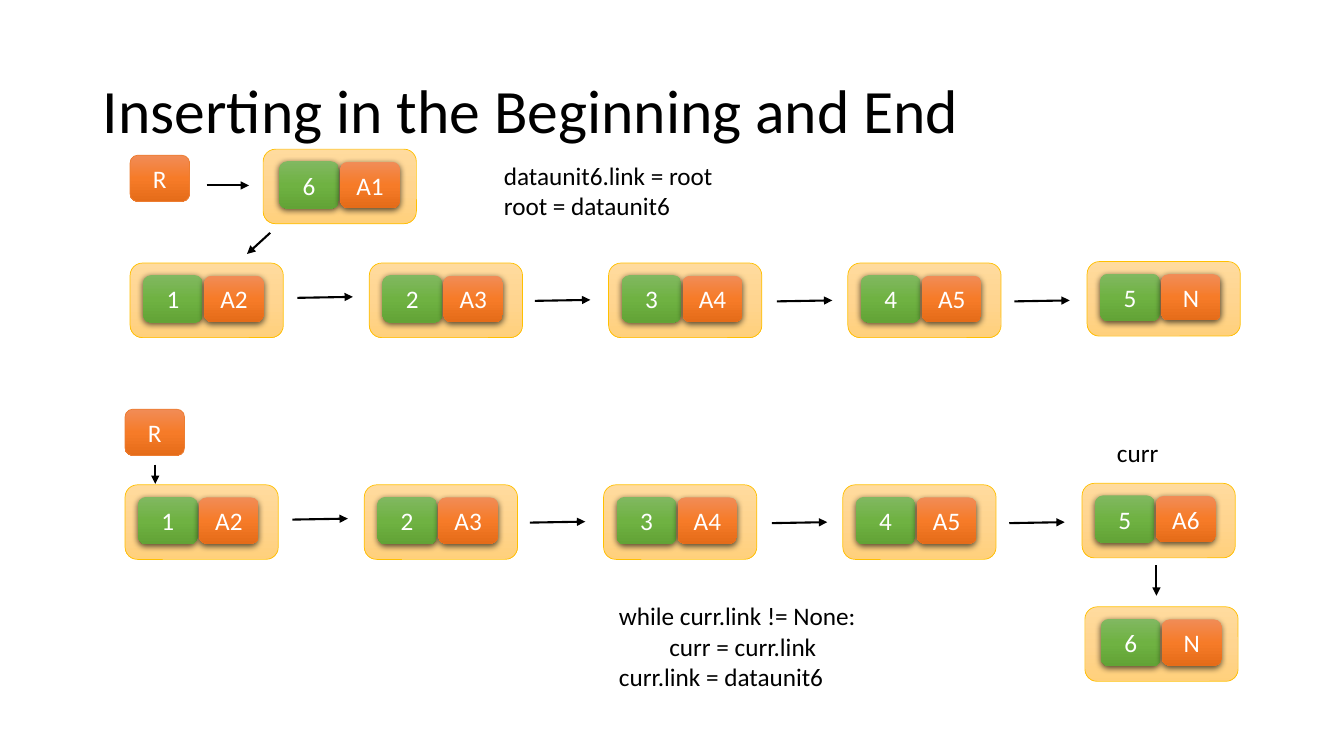
from copy import deepcopy
from dataclasses import dataclass

from lxml import etree
from pptx import Presentation
from pptx.dml.color import RGBColor
from pptx.enum.shapes import MSO_CONNECTOR, MSO_SHAPE
from pptx.enum.text import MSO_ANCHOR, PP_ALIGN
from pptx.oxml.ns import qn
from pptx.util import Inches, Pt

ROUNDED = MSO_SHAPE.ROUNDED_RECTANGLE
STRAIGHT = MSO_CONNECTOR.STRAIGHT
MIDDLE = MSO_ANCHOR.MIDDLE
LEFT, CENTER = PP_ALIGN.LEFT, PP_ALIGN.CENTER


@dataclass(frozen=True)
class Theme:
    font: str = "Calibri"
    title_size: float = 44
    text_size: float = 18
    ink: str = "000000"
    cell_ink: str = "FFFFFF"
    node: tuple = ("FFDB9E", "FFD590", "FFD07C")
    node_edge: str = "FFC000"
    key: tuple = ("81B861", "6FB242", "62A336")
    link: tuple = ("F18C57", "F67B28", "E56C19")
    root_edge: str = "ED7D31"
    edge_width: float = 0.5
    arrow_width: float = 1.5


THEME = Theme()

# Grid in inches: one column per node of a chain
SLIDE_W, SLIDE_H = 13.33, 7.5
COLUMN = 2.373
NODE_W, NODE_H = 1.52, 0.74
CELL_W, KEY_H, LINK_H = 0.59, 0.47, 0.46
CELL_STEP, CELL_TOP = 0.605, 0.12
CHAIN_INSET, SINGLE_INSET = 0.13, 0.16
LAST_RISE = 0.015
ARROW_LENGTH, ARROW_RISE = 0.55, 0.01
# Start of each chain arrow, measured from the chain's top left corner
CHAIN_ARROWS = [(1.66, 0.345), (4.015, 0.375), (6.415, 0.38), (8.77, 0.38)]


def box(left, top, width, height):
    return [Inches(value) for value in (left, top, width, height)]


def add_run(paragraph, text, size, color):
    run = paragraph.add_run()
    run.text = text
    run.font.name = THEME.font
    run.font.size = Pt(size)
    run.font.color.rgb = RGBColor.from_string(color)


def fill_downward(shape, colors):
    """Three-stop gradient from top to bottom."""
    shape.fill.gradient()
    shape.fill.gradient_angle = 270
    stop_list = shape._element.spPr.find(".//" + qn("a:gsLst"))
    stop_list.append(deepcopy(stop_list[0]))
    for stop, color, position in zip(shape.fill.gradient_stops, colors, (0, 0.5, 1)):
        stop.color.rgb = RGBColor.from_string(color)
        stop.position = position


def drop_shadow(shape):
    effects = shape._element.spPr.find(qn("a:effectLst"))
    shadow = etree.SubElement(effects, qn("a:outerShdw"), blurRad=str(Pt(4.5)),
                              dist=str(Pt(1.5)), dir="5400000", algn="ctr", rotWithShape="0")
    color = etree.SubElement(shadow, qn("a:srgbClr"), val=THEME.ink)
    etree.SubElement(color, qn("a:alpha"), val="63000")


def add_block(slide, frame, colors, edge=None, label=None, raised=False):
    block = slide.shapes.add_shape(ROUNDED, *box(*frame))
    block.shadow.inherit = False
    fill_downward(block, colors)
    if edge:
        block.line.color.rgb = RGBColor.from_string(edge)
        block.line.width = Pt(THEME.edge_width)
    else:
        block.line.fill.background()
    if raised:
        drop_shadow(block)
    if label:
        block.text_frame.vertical_anchor = MIDDLE
        paragraph = block.text_frame.paragraphs[0]
        paragraph.alignment = CENTER
        add_run(paragraph, label, THEME.text_size, THEME.cell_ink)


def add_root(slide, left, top):
    add_block(slide, (left, top, CELL_W, LINK_H), THEME.link, THEME.root_edge, "R")


def add_node(slide, left, top, key, link, inset=SINGLE_INSET):
    add_block(slide, (left, top, NODE_W, NODE_H), THEME.node, THEME.node_edge)
    key_left, cell_top = left + inset, top + CELL_TOP
    add_block(slide, (key_left, cell_top, CELL_W, KEY_H), THEME.key, label=key, raised=True)
    add_block(slide, (key_left + CELL_STEP, cell_top + 0.005, CELL_W, LINK_H),
              THEME.link, label=link, raised=True)


def add_arrow(slide, start, end):
    arrow = slide.shapes.add_connector(STRAIGHT, *box(*start, *end))
    arrow.line.color.rgb = RGBColor.from_string(THEME.ink)
    arrow.line.width = Pt(THEME.arrow_width)
    properties = arrow._element.spPr
    etree.SubElement(properties.find(qn("a:ln")), qn("a:tailEnd"), type="triangle")
    etree.SubElement(properties, qn("a:effectLst"))


def add_chain(slide, left, top, links):
    """Row of linked nodes; the last one sits slightly higher."""
    for index, link in enumerate(links):
        rise = LAST_RISE if index == len(links) - 1 else 0
        add_node(slide, left + index * COLUMN, top - rise, str(index + 1), link, CHAIN_INSET)
    for across, down in CHAIN_ARROWS:
        x, y = left + across, top + down
        add_arrow(slide, (x, y), (x + ARROW_LENGTH, y - ARROW_RISE))


def add_code(slide, frame, lines):
    code = slide.shapes.add_textbox(*box(*frame)).text_frame
    code.word_wrap = True
    for index, line in enumerate(lines):
        paragraph = code.add_paragraph() if index else code.paragraphs[0]
        add_run(paragraph, line, THEME.text_size, THEME.ink)


def add_title(slide, text):
    title = slide.shapes.title
    title.left, title.top, title.width, title.height = box(0.92, 0.4, 11.5, 1.45)
    title.text_frame.vertical_anchor = MIDDLE
    paragraph = title.text_frame.paragraphs[0]
    paragraph.alignment = LEFT
    paragraph.line_spacing = 0.9
    add_run(paragraph, text, THEME.title_size, THEME.ink)


def main():
    deck = Presentation()
    deck.slide_width, deck.slide_height = Inches(SLIDE_W), Inches(SLIDE_H)
    slide = deck.slides.add_slide(deck.slide_layouts[5])
    add_title(slide, "Inserting in the Beginning and End")

    # Insertion at the beginning
    add_chain(slide, 1.29, 2.61, ["A2", "A3", "A4", "A5", "N"])
    add_root(slide, 1.29, 1.54)
    add_node(slide, 2.61, 1.48, "6", "A1")
    add_arrow(slide, (2.05, 1.84), (2.47, 1.84))
    add_arrow(slide, (2.68, 2.31), (2.45, 2.52))
    add_code(slide, (4.9, 1.54, 4.03, 0.71), ["dataunit6.link = root", "root = dataunit6"])

    # Insertion at the end
    add_chain(slide, 1.24, 4.81, ["A2", "A3", "A4", "A5", "A6"])
    add_root(slide, 1.24, 4.06)
    add_arrow(slide, (1.54, 4.61), (1.54, 4.8))
    add_node(slide, 10.76, 6.02, "6", "N")
    add_arrow(slide, (11.47, 5.61), (11.47, 5.91))
    add_code(slide, (10.98, 4.29, 1.08, 0.4), ["curr"])
    add_code(slide, (6.04, 5.91, 3.85, 1.01),
             ["while curr.link != None:", "\tcurr = curr.link", "curr.link = dataunit6"])

    deck.save("out.pptx")


if __name__ == "__main__":
    main()
